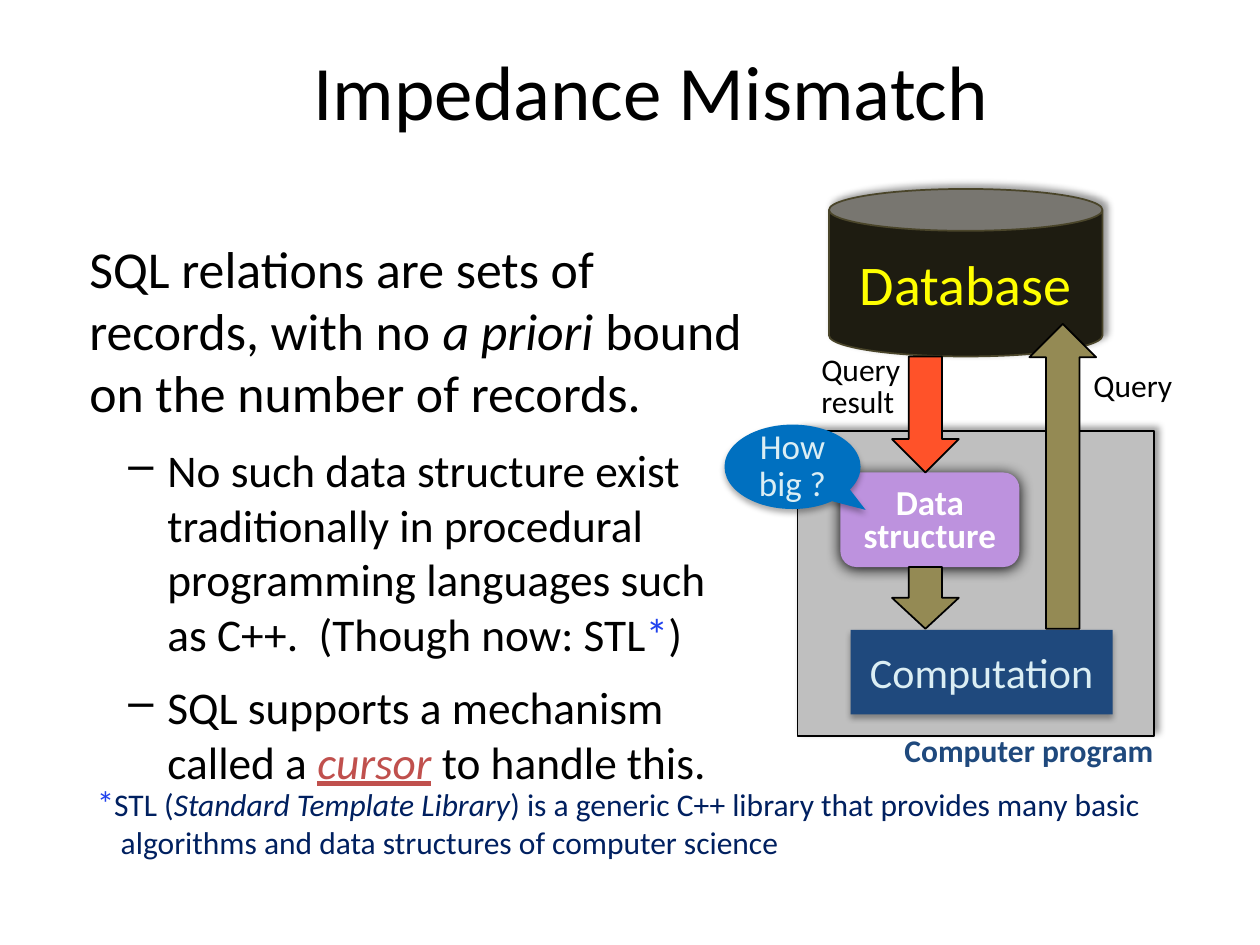
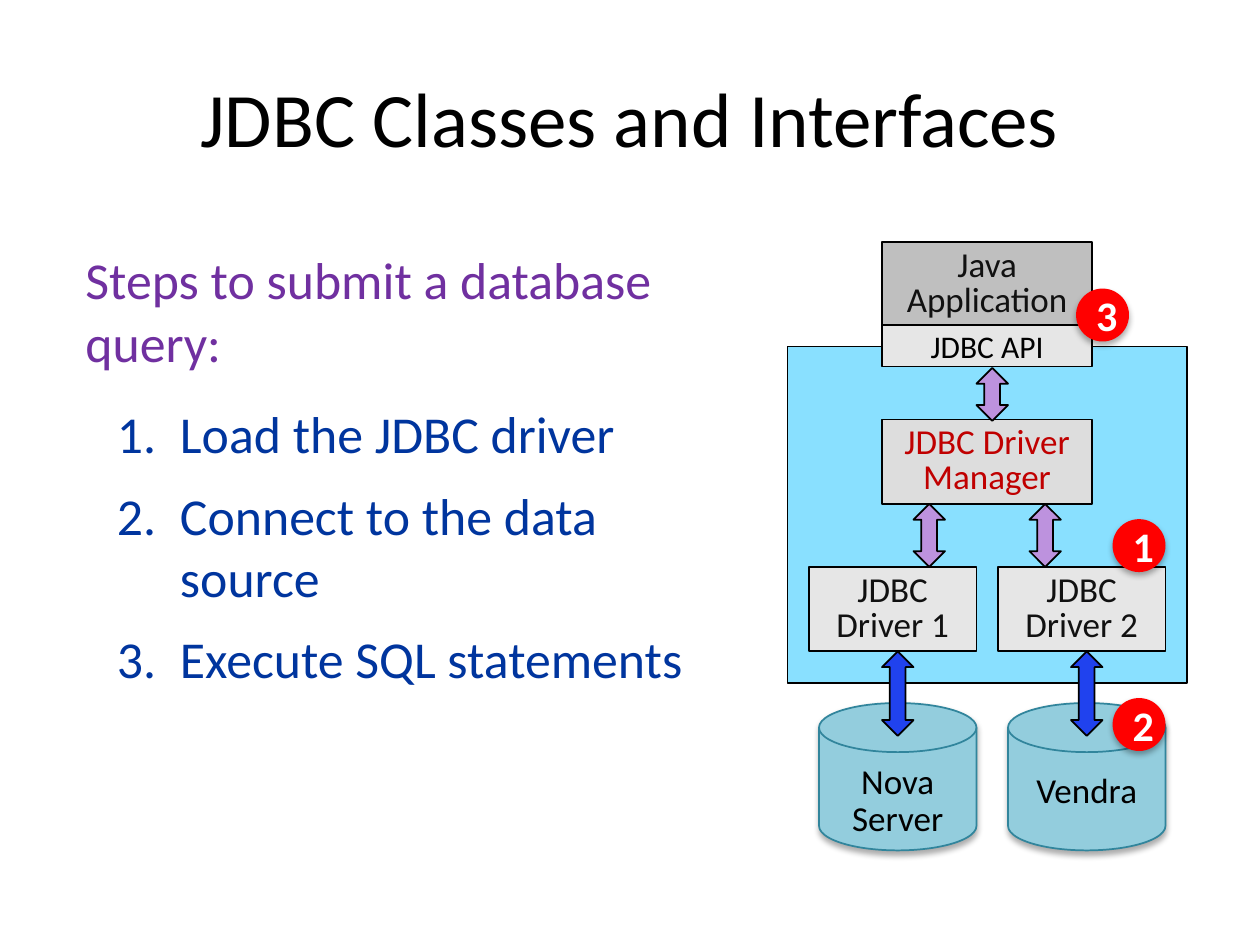
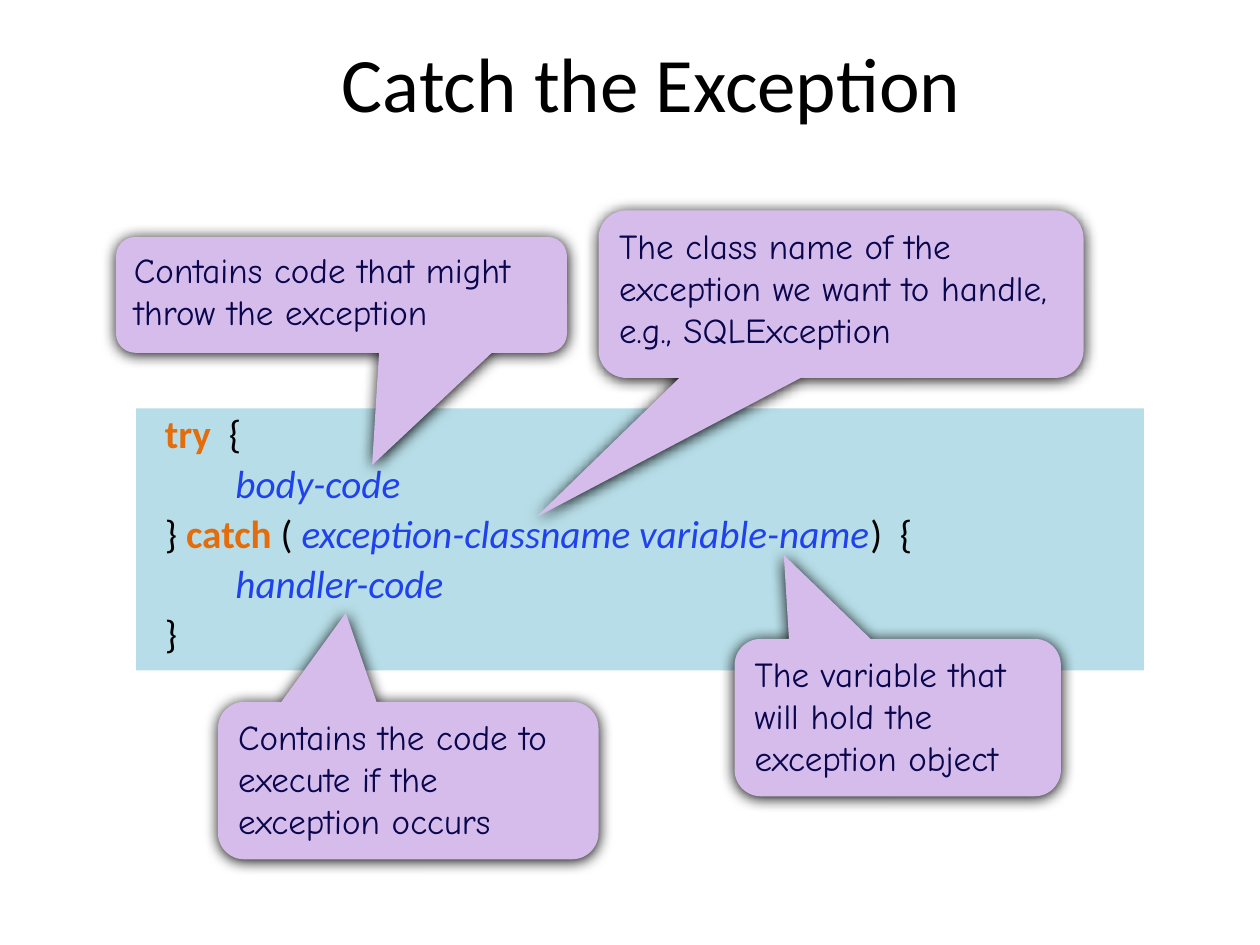
"""Build three slides on databases in programs: impedance mismatch, JDBC and exceptions."""
from lxml import etree
from pptx import Presentation
from pptx import util as u
from pptx.dml.color import RGBColor
from pptx.enum import shapes, text
from pptx.oxml import ns

BLACK, WHITE, BLUE, ORANGE = "000000", "FFFFFF", "2042EE", "E46C0A"
PALE, GREY, OLIVE, VIOLET = "DBEEF4", "BFBFBF", "948A54", "BD92DE"
HARD = (BLACK, 40, 4, 3, 315)
SOFT = (BLACK, 32, 3.5, 2.2, 90)
GLOW = (BLACK, 100, 8.5, 1, 90)
KIND = shapes.MSO_SHAPE
LEFT, CENTER = text.PP_ALIGN.LEFT, text.PP_ALIGN.CENTER
TOP, MIDDLE = text.MSO_ANCHOR.TOP, text.MSO_ANCHOR.MIDDLE


def draw(slide, kind, box, fill, line=None, shadow=None, adjust=()):
    """Add a filled preset shape, or a plain text box when kind is None."""
    place = [u.Inches(length) for length in box]
    if kind is None:
        return slide.shapes.add_textbox(*place)
    part = slide.shapes.add_shape(kind, *place)
    part.shadow.inherit = False
    part.fill.solid()
    part.fill.fore_color.rgb = RGBColor.from_string(fill)
    if line:
        part.line.color.rgb = RGBColor.from_string(line)
        part.line.width = u.Pt(1)
    else:
        part.line.fill.background()
    for index, value in enumerate(adjust):
        part.adjustments[index] = value
    if shadow:
        color, alpha, blur, distance, angle = shadow
        effects = part._element.spPr.find(ns.qn("a:effectLst"))
        outer = etree.SubElement(effects, ns.qn("a:outerShdw"), blurRad=str(u.Pt(blur)),
                                 dist=str(u.Pt(distance)), dir=str(angle * 60000), rotWithShape="0")
        tint = etree.SubElement(outer, ns.qn("a:srgbClr"), val=color)
        etree.SubElement(tint, ns.qn("a:alpha"), val=str(alpha * 1000))
    return part


def write(part, paragraphs, size, color, align=CENTER, anchor=MIDDLE, bold=None,
          spacing=None, font="Calibri", insets=(0.1, 0.05, 0.1, 0.05)):
    """Fill a shape with paragraphs of runs; a run is a string or (string, font changes)."""
    frame = part.text_frame
    frame.word_wrap = True
    frame.vertical_anchor = anchor
    (frame.margin_left, frame.margin_top,
     frame.margin_right, frame.margin_bottom) = [u.Inches(inset) for inset in insets]
    for index, runs in enumerate(paragraphs):
        paragraph = frame.add_paragraph() if index else frame.paragraphs[0]
        paragraph.alignment = align
        if spacing:
            paragraph.line_spacing = u.Pt(spacing)
        paragraph.font.name = font
        paragraph.font.size = u.Pt(size)
        paragraph.font.bold = bold
        paragraph.font.color.rgb = RGBColor.from_string(color)
        for item in runs:
            words, changes = (item, {}) if isinstance(item, str) else item
            run = paragraph.add_run()
            run.text = words
            for key, value in changes.items():
                if key == "color":
                    run.font.color.rgb = RGBColor.from_string(value)
                else:
                    setattr(run.font, key, value)
    return frame.paragraphs


deck = Presentation()
deck.slide_width, deck.slide_height = u.Inches(10), u.Inches(7.5)
pages = []
for title, box in [
    ("Impedance Mismatch", (0.92, 0.08, 8.5, 1.26)),
    ("JDBC Classes and Interfaces", (0.5, 0.3, 9, 1.25)),
    ("Catch the Exception", (0.92, 0.21, 8.5, 0.88)),
]:
    page = deck.slides.add_slide(deck.slide_layouts[6])
    write(draw(page, None, box, None), [[title]], 44, BLACK)
    pages.append(page)
mismatch, jdbc, exception = pages

points = write(draw(mismatch, None, (0.42, 1.83, 5.58, 4.46), None), [
    ["SQL relations are sets of records, with no ", ("a priori ", {"italic": True}),
     "bound on the number of records."],
    ["No such data structure exist traditionally in procedural programming languages "
     "such as C++.  (Though now: STL", ("*", {"color": BLUE}), ")"],
    ["SQL supports a mechanism called a ",
     ("cursor", {"color": "C0504D", "italic": True, "underline": True}), " to handle this."],
], 25.9, BLACK, LEFT, TOP)
points[0].font.size = u.Pt(29.6)
points[0]._p.get_or_add_pPr().set("marL", str(u.Inches(0.19)))

steps = write(draw(jdbc, None, (0.58, 1.92, 5.33, 3.33), None), [
    ["Steps to submit a database query:"], ["Load the JDBC driver"],
    ["Connect to the data source"], ["Execute SQL statements"],
], 29.6, "00359E", LEFT, TOP)
steps[0].font.color.rgb = RGBColor.from_string("7030A0")

for listing, margin, hang, tag, mark in [
    (points, 0.81, 0.31, "a:buChar", {"char": "–"}),
    (steps, 0.75, 0.5, "a:buAutoNum", {"type": "arabicPeriod"}),
]:
    listing[0].space_after = u.Pt(6 if listing is points else 12)
    for paragraph in listing[1:]:
        paragraph.space_before = u.Pt(5)
        paragraph.space_after = u.Pt(6)
        properties = paragraph._p.get_or_add_pPr()
        properties.set("marL", str(u.Inches(margin)))
        properties.set("indent", str(-u.Inches(hang)))
        bullet = etree.Element(ns.qn(tag), **mark)
        properties.insert_element_before(bullet, "a:tabLst", "a:defRPr", "a:extLst")

footnote = write(draw(mismatch, None, (0.67, 6.15, 8.67, 0.8), None), [[
    ("*", {"color": BLUE, "size": u.Pt(20)}), "STL (",
    ("Standard Template Library", {"italic": True}),
    ") is a generic C++ library that provides many basic algorithms "
    "and data structures of computer science",
]], 18, "002060", LEFT, TOP)[0]
footnote._p.get_or_add_pPr().set("marL", str(u.Inches(0.19)))
footnote._p.get_or_add_pPr().set("indent", str(-u.Inches(0.19)))

database = draw(mismatch, KIND.CAN, (6.58, 1.5, 2.17, 1.33), "1E1C11", "4A452A", HARD)
write(database, [["Database"]], 32, "FFFF00")
draw(mismatch, KIND.RECTANGLE, (6.33, 3.42, 2.83, 2.42), GREY, BLACK, HARD)
structure = draw(mismatch, KIND.ROUNDED_RECTANGLE, (6.67, 3.75, 1.42, 0.75), VIOLET, shadow=GLOW)
write(structure, [["Data structure"]], 20, WHITE, bold=True, spacing=19, insets=(0, 0.04, 0, 0))
computation = draw(mismatch, KIND.RECTANGLE, (6.75, 5, 2.08, 0.67), "1F497D", shadow=SOFT)
write(computation, [["Computation"]], 24, PALE)
for kind, box, fill in [
    (KIND.DOWN_ARROW, (7.08, 2.83, 0.53, 0.92), "FF5229"),
    (KIND.DOWN_ARROW, (7.08, 4.5, 0.53, 0.49), OLIVE),
    (KIND.UP_ARROW, (8.17, 2.57, 0.53, 2.42), OLIVE),
]:
    draw(mismatch, kind, box, fill, BLACK)
question = draw(mismatch, KIND.OVAL_CALLOUT, (5.75, 3.37, 1.08, 0.67), "0070C0",
                shadow=SOFT, adjust=(0.537, 0.51))
write(question, [["How big ?"]], 20, PALE, spacing=21, insets=(0, 0.05, 0, 0.05))
for label, box, color, bold, spacing in [
    ("Computer program", (7.08, 5.75, 2.25, 0.4), "1F497D", True, None),
    ("Query result", (6.42, 2.78, 1.08, 0.61), BLACK, None, 18),
    ("Query", (8.58, 2.91, 1.08, 0.36), BLACK, None, 18),
]:
    write(draw(mismatch, None, box, None), [[label]], 18, color, LEFT, TOP, bold, spacing)

draw(jdbc, KIND.RECTANGLE, (6.25, 2.75, 3.17, 2.67), "89E0FF", BLACK)
for layer, box, fill, size, color, spacing in [
    ("Java Application", (7, 1.92, 1.67, 0.67), GREY, 20, "111111", 20),
    ("JDBC API", (7, 2.58, 1.67, 0.33), "E6E6E6", 18, BLACK, None),
    ("JDBC Driver Manager", (7, 3.33, 1.67, 0.67), "DDDDDD", 20, "C00000", 20),
    ("JDBC Driver 1", (6.42, 4.5, 1.33, 0.67), "E6E6E6", 20, "111111", 20),
    ("JDBC Driver 2", (7.92, 4.5, 1.33, 0.67), "E6E6E6", 20, "111111", 20),
]:
    write(draw(jdbc, KIND.RECTANGLE, box, fill, BLACK), [[layer]], size, color, spacing=spacing)
for store, left, anchor, spacing, top_inset in [
    ("Nova Server", 6.5, TOP, 21, 0.1), ("Vendra", 8, MIDDLE, None, 0.05),
]:
    disk = draw(jdbc, KIND.FLOWCHART_MAGNETIC_DISK, (left, 5.58, 1.25, 1.17),
                "93CDDD", "31859C", SOFT)
    write(disk, [[store]], 20, BLACK, anchor=anchor, spacing=spacing,
          insets=(0.1, top_inset, 0.1, 0.05))
for left, top, height, fill in [
    (8.17, 4, 0.5, VIOLET), (7.25, 4, 0.5, VIOLET), (7.75, 2.92, 0.42, VIOLET),
    (7, 5.17, 0.67, BLUE), (8.5, 5.17, 0.67, BLUE),
]:
    draw(jdbc, KIND.UP_DOWN_ARROW, (left, top, 0.25, height), fill, BLACK, adjust=(0.5, 0.5))
for number, left, top in [("1", 8.83, 4.12), ("2", 8.83, 5.54), ("3", 8.54, 2.29)]:
    badge = draw(jdbc, KIND.OVAL, (left, top, 0.42, 0.42), "FF0000", shadow=SOFT)
    write(badge, [[number]], 24, WHITE, bold=True)

keyword = {"color": ORANGE, "bold": True}
variable = {"color": BLUE, "italic": True}
code = write(draw(exception, KIND.RECTANGLE, (1.08, 3.24, 8, 2.08), "B7DEE8"), [
    [("try", keyword), "  {"],
    [("body-code", variable)],
    ["} ", ("catch", keyword), " ( ", ("exception-classname variable-name", variable), ")  {"],
    [("handler-code", variable)],
    ["}"],
], 22.4, BLACK, LEFT, TOP, spacing=24)
for index, line in enumerate(code):
    line.space_before = u.Pt(4.5 if index else 0)
    line._p.get_or_add_pPr().set("marL", str(u.Inches(0.69 if index % 2 else 0.13)))

for remark, box, pointer in [
    ("Contains code that might throw the exception", (0.92, 1.88, 3.58, 0.92), (0.068, 1.469)),
    ("The class name of the exception we want to handle, e.g., SQLException",
     (4.75, 1.67, 3.85, 1.33), (-0.629, 1.332)),
    ("The variable that will hold the exception object",
     (5.83, 5.07, 2.59, 1.25), (-0.349, -1.032)),
    ("Contains the code to execute if the exception occurs",
     (1.73, 5.57, 3.02, 1.25), (-0.164, -1.064)),
]:
    callout = draw(exception, KIND.ROUNDED_RECTANGULAR_CALLOUT, box, "D6BCEA",
                   shadow=GLOW, adjust=(*pointer, 0.167))
    write(callout, [[remark]], 20, "09064E", LEFT, TOP, font="Comic Neue")

deck.save("out.pptx")
